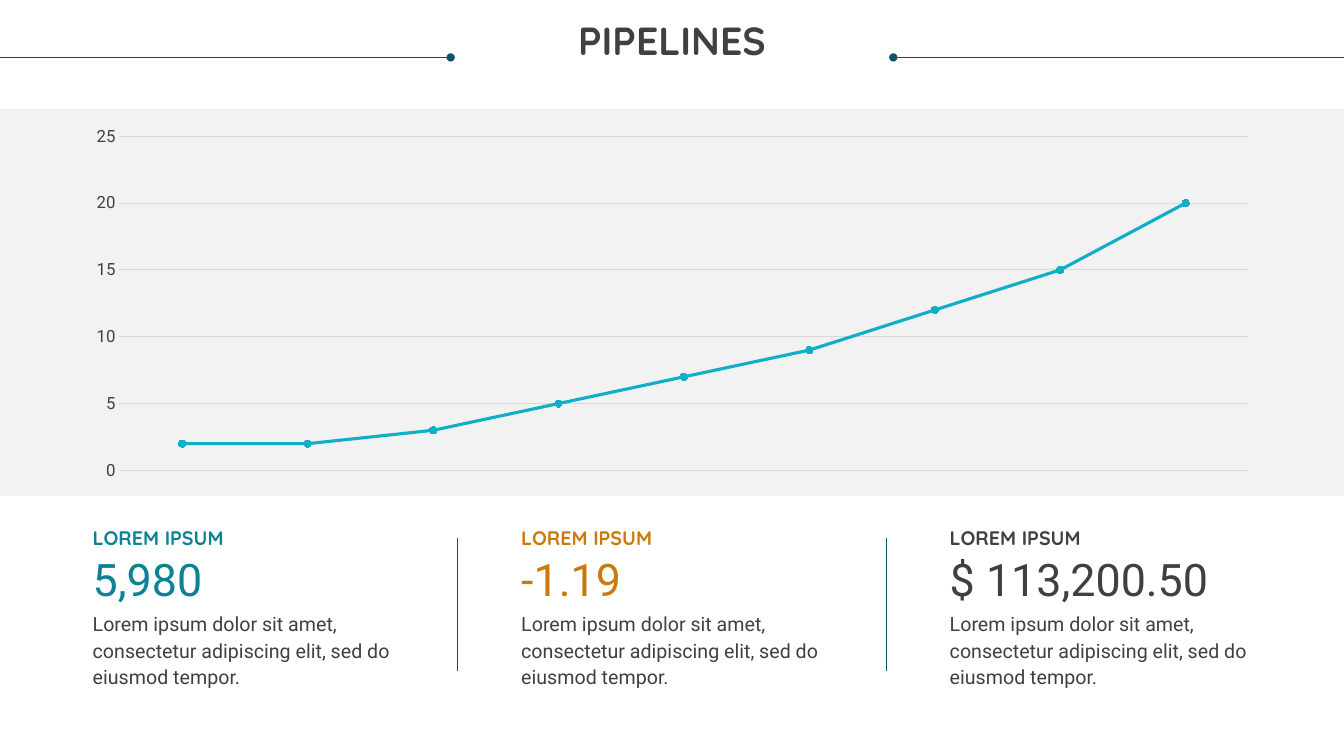
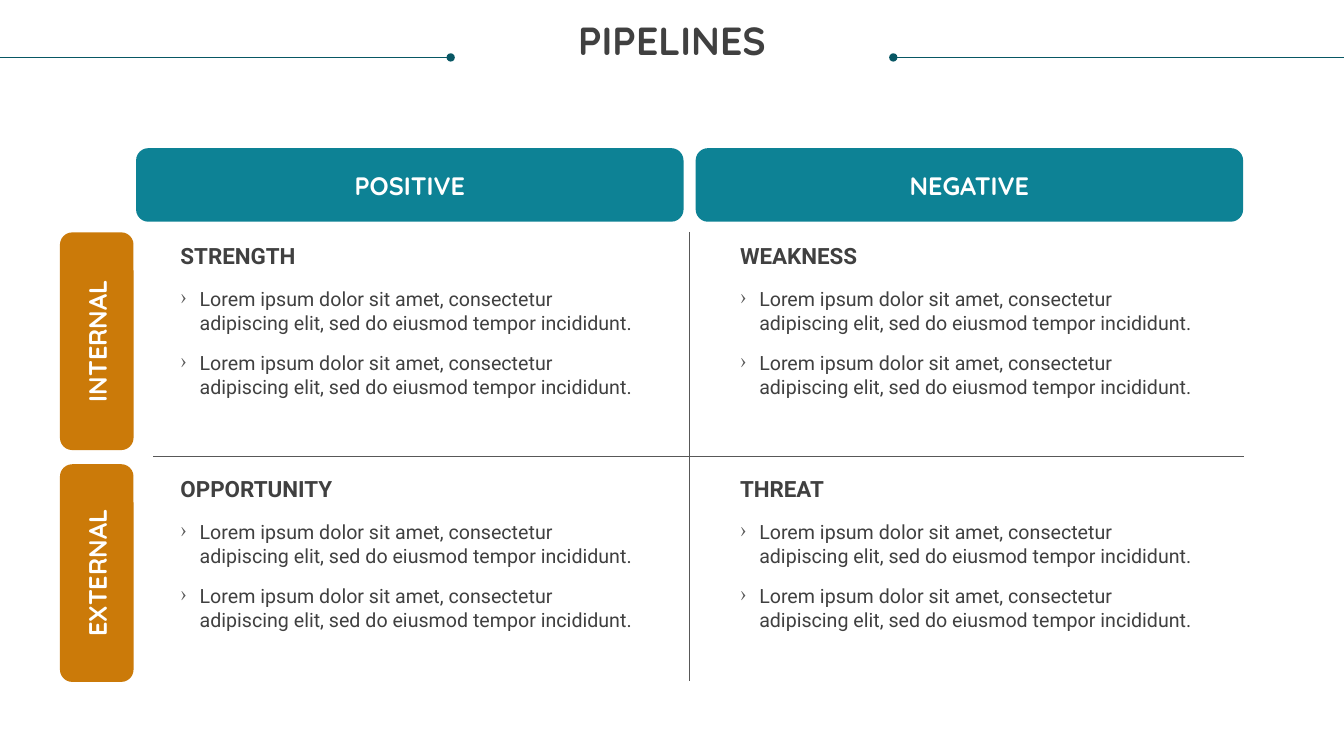
"""Build the two pipeline slides: a trend with key figures and a four-field matrix."""
from dataclasses import dataclass
from itertools import product
from typing import Any

from lxml.etree import SubElement
from pptx import Presentation
from pptx.chart.data import CategoryChartData as ChartData
from pptx.dml.color import RGBColor as Rgb
from pptx.enum.chart import XL_CHART_TYPE as Kind
from pptx.enum.chart import XL_MARKER_STYLE as Mark
from pptx.enum.chart import XL_TICK_MARK as Tick
from pptx.enum.shapes import MSO_CONNECTOR as Link
from pptx.enum.shapes import MSO_SHAPE as Form
from pptx.enum.text import MSO_ANCHOR as Anchor
from pptx.enum.text import MSO_AUTO_SIZE as Fit
from pptx.enum.text import PP_ALIGN as Align
from pptx.oxml.ns import qn
from pptx.slide import Slide
from pptx.util import Inches, Pt


@dataclass(frozen=True)
class Theme:
    """Colours, fonts and type sizes of both slides."""
    ink: str = "404040"
    white: str = "FFFFFF"
    band: str = "F2F2F2"
    rule: str = "085764"
    gray: str = "585858"
    grid: str = "D9D9D9"
    teal: str = "0D8295"
    gold: str = "CB7A09"
    trend: str = "11AEC7"
    head: str = "Quicksand"
    body: str = "Roboto"
    title: int = 28
    figure: int = 32
    label: int = 18
    topic: int = 16
    text: int = 14
    axis: int = 12


@dataclass(frozen=True)
class Box:
    """Place and size in inches."""
    left: float
    top: float
    width: float
    height: float

    def emu(self) -> list[int]:
        """Return the four lengths for a shape call."""
        return [Inches(v) for v in (self.left, self.top, self.width, self.height)]


@dataclass(frozen=True)
class Type:
    """Format of a text."""
    size: int
    name: str
    color: str
    bold: bool = False


@dataclass(frozen=True)
class Figure:
    """Key figure below the chart."""
    value: str
    color: str


@dataclass(frozen=True)
class Label:
    """Rounded header of a column or row."""
    text: str
    box: Box
    color: str
    turn: int = 0


THEME = Theme()
BODY = Type(THEME.text, THEME.body, THEME.ink)
TOPIC = Type(THEME.topic, THEME.body, THEME.ink, True)
LABEL = Type(THEME.label, THEME.head, THEME.white, True)
TITLE = Type(THEME.title, THEME.head, THEME.ink, True)
WIDTH, HEIGHT = 13.33, 7.5
LOREM = "Lorem ipsum dolor sit amet, consectetur adipiscing elit, sed do eiusmod tempor"
TREND = (2, 2, 3, 5, 7, 9, 12, 15, 20)
FIGURES = (
    Figure("5,980", THEME.teal),
    Figure("-1.19", THEME.gold),
    Figure("$ 113,200.50", THEME.ink),
)
LABELS = (
    Label("POSITIVE", Box(1.35, 1.47, 5.43, 0.73), THEME.teal),
    Label("NEGATIVE", Box(6.9, 1.47, 5.43, 0.73), THEME.teal),
    Label("INTERNAL", Box(-0.12, 3.02, 2.16, 0.73), THEME.gold, 270),
    Label("EXTERNAL", Box(-0.12, 5.32, 2.16, 0.73), THEME.gold, 270),
)
TOPICS = ("STRENGTH", "WEAKNESS", "OPPORTUNITY", "THREAT")


def apply(item: Any, values: dict[str, Any]) -> None:
    """Set each named value on an item."""
    for name, value in values.items():
        setattr(item, name, value)


def style(font: Any, kind: Type) -> None:
    """Format a font."""
    apply(font, {"size": Pt(kind.size), "name": kind.name, "bold": kind.bold})
    font.color.rgb = Rgb.from_string(kind.color)


def paint(fill: Any, color: str) -> None:
    """Fill with one solid colour."""
    fill.solid()
    fill.fore_color.rgb = Rgb.from_string(color)


def stroke(line: Any, color: str, width: float) -> None:
    """Set colour and width of a line."""
    line.color.rgb = Rgb.from_string(color)
    line.width = Pt(width)


def write(shape: Any, texts: list[str], kind: Type, frame: dict[str, Any],
          para: dict[str, Any]) -> None:
    """Write paragraphs of one type into a shape."""
    area = shape.text_frame
    apply(area, {"word_wrap": True, "auto_size": Fit.NONE, **frame})
    for spot, text in enumerate(texts):
        item = area.add_paragraph() if spot else area.paragraphs[0]
        apply(item, para)
        run = item.add_run()
        run.text = text
        style(run.font, kind)


def flush(anchor: Anchor = Anchor.TOP) -> dict[str, Any]:
    """Return frame values without margins."""
    sides = ("left", "top", "right", "bottom")
    return {"vertical_anchor": anchor, **{f"margin_{side}": 0 for side in sides}}


def note(slide: Slide, box: Box, texts: list[str], kind: Type, **para: Any) -> Any:
    """Add a text box and return it."""
    shape = slide.shapes.add_textbox(*box.emu())
    write(shape, texts, kind, flush(), para)
    return shape


def bullet(shape: Any) -> None:
    """Give each paragraph a hanging angle mark."""
    for item in shape.text_frame.paragraphs:
        props = item._p.get_or_add_pPr()
        indent = Inches(0.19)
        props.set("marL", str(indent))
        props.set("indent", str(-indent))
        tint = SubElement(props, qn("a:buClr"))
        SubElement(tint, qn("a:srgbClr"), val=THEME.gray)
        SubElement(props, qn("a:buChar"), char="›")


def block(slide: Slide, form: Form, box: Box, color: str) -> Any:
    """Add a plain filled shape and return it."""
    shape = slide.shapes.add_shape(form, *box.emu())
    shape.shadow.inherit = False
    paint(shape.fill, color)
    shape.line.fill.background()
    return shape


def rule(slide: Slide, start: tuple[float, float], end: tuple[float, float],
         color: str, dot: bool = False) -> None:
    """Draw a thin line, with a dot at its start on request."""
    ends = [Inches(v) for v in (*start, *end)]
    link = slide.shapes.add_connector(Link.STRAIGHT, *ends)
    stroke(link.line, color, 0.5)
    if dot:
        SubElement(link.line._get_or_add_ln(), qn("a:headEnd"), type="oval")
    SubElement(link._element.spPr, qn("a:effectLst"))


def start(deck: Any) -> Slide:
    """Add a slide with its title and the two dotted lines."""
    slide = deck.slides.add_slide(deck.slide_layouts[5])
    title = slide.shapes.title
    box = Box(0.25, 0.21, 12.83, 0.73)
    apply(title, dict(zip(("left", "top", "width", "height"), box.emu())))
    write(title, ["PIPELINES"], TITLE, flush(),
          {"alignment": Align.CENTER, "line_spacing": 0.9})
    for inner, edge in ((4.47, 0), (8.86, WIDTH)):
        rule(slide, (inner, 0.57), (edge, 0.57), THEME.rule, True)
    return slide


def plot(slide: Slide) -> None:
    """Add the trend chart."""
    data = ChartData()
    data.categories = [str(spot + 1) for spot in range(len(TREND))]
    data.add_series("Series 1", TREND)
    box = Box(0.72, 1.18, 11.9, 3.66)
    chart = slide.shapes.add_chart(Kind.LINE_MARKERS, *box.emu(), data).chart
    apply(chart, {"has_legend": False, "has_title": False})
    style(chart.font, Type(THEME.axis, THEME.body, THEME.ink))
    chart.category_axis.visible = False
    axis = chart.value_axis
    apply(axis, {"minimum_scale": 0, "maximum_scale": 25, "major_unit": 5,
                 "major_tick_mark": Tick.NONE, "minor_tick_mark": Tick.NONE,
                 "has_major_gridlines": True})
    axis.format.line.fill.background()
    stroke(axis.major_gridlines.format.line, THEME.grid, 0.75)
    chart.plots[0].vary_by_categories = False
    series = chart.plots[0].series[0]
    series.smooth = False
    stroke(series.format.line, THEME.trend, 2.25)
    apply(series.marker, {"style": Mark.CIRCLE, "size": 5})
    paint(series.marker.format.fill, THEME.trend)
    stroke(series.marker.format.line, THEME.trend, 0.75)


def report(deck: Any) -> None:
    """Build the slide with the chart and its key figures."""
    slide = start(deck)
    block(slide, Form.RECTANGLE, Box(0, 1.08, WIDTH, 3.84), THEME.band)
    plot(slide)
    step = 4.25
    for spot, figure in enumerate(FIGURES):
        left = 0.92 + spot * step
        head = Type(THEME.text, THEME.head, figure.color, True)
        value = Type(THEME.figure, THEME.body, figure.color)
        note(slide, Box(left, 5.19, 3, 0.24), ["LOREM IPSUM"], head, line_spacing=Pt(19))
        note(slide, Box(left, 5.47, 3, 0.54), [figure.value], value)
        note(slide, Box(left, 6.04, 3, 0.78), [f"{LOREM}."], BODY, line_spacing=Pt(19))
        if spot:
            side = left - 0.63
            rule(slide, (side, 5.34), (side, 6.66), THEME.rule)


def matrix(deck: Any) -> None:
    """Build the slide with the four fields."""
    slide = start(deck)
    for label in LABELS:
        shape = block(slide, Form.ROUNDED_RECTANGLE, label.box, label.color)
        shape.rotation = label.turn
        write(shape, [label.text], LABEL, {"vertical_anchor": Anchor.MIDDLE},
              {"alignment": Align.CENTER})
    rule(slide, (1.52, 4.53), (12.34, 4.53), THEME.gray)
    rule(slide, (6.84, 2.3), (6.84, 6.76), THEME.gray)
    for topic, (top, left) in zip(TOPICS, product((2.4, 4.71), (1.79, 7.34))):
        note(slide, Box(left, top, 4.55, 0.27), [topic], TOPIC)
        points = note(slide, Box(left, top + 0.45, 4.55, 1.11),
                      [f"{LOREM} incididunt."] * 2, BODY, space_before=Pt(12))
        bullet(points)


def main() -> None:
    """Build and save the deck."""
    deck = Presentation()
    apply(deck, {"slide_width": Inches(WIDTH), "slide_height": Inches(HEIGHT)})
    report(deck)
    matrix(deck)
    deck.save("out.pptx")


if __name__ == "__main__":
    main()
